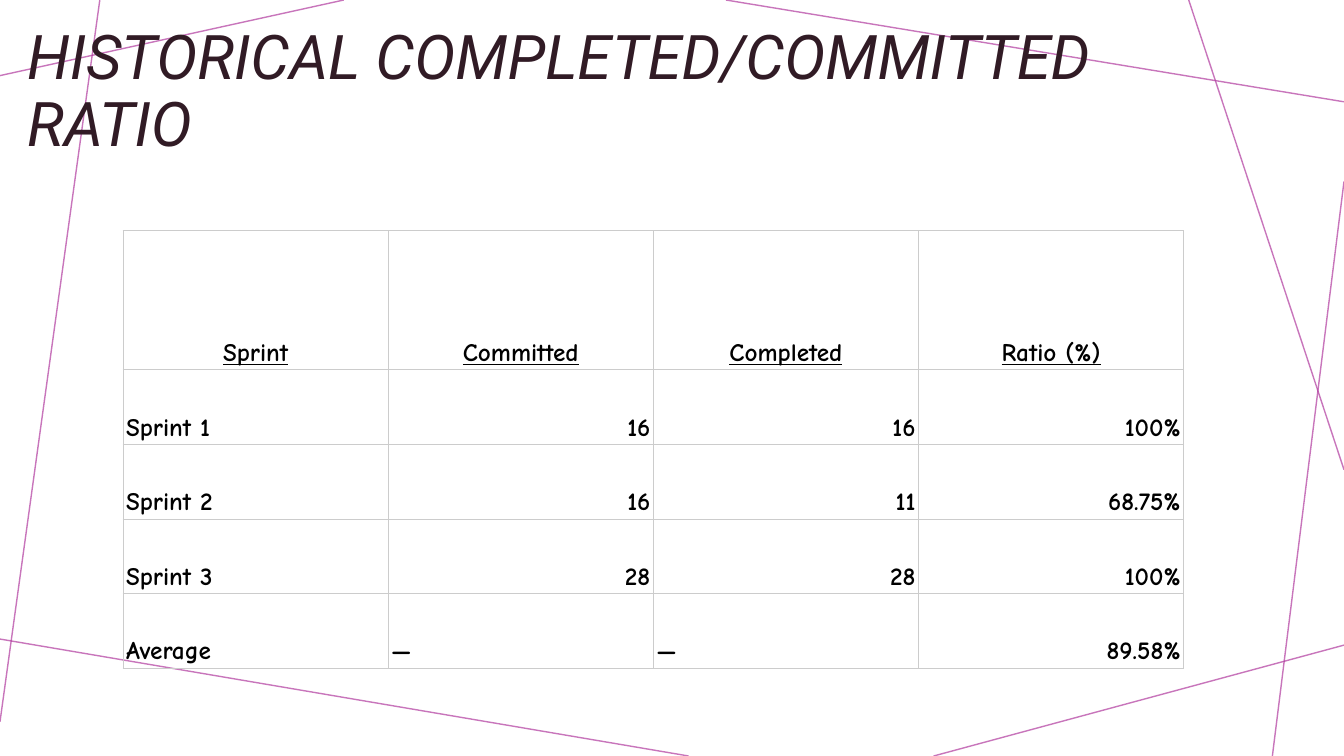
"""Build the slide with the completed/committed ratio of each sprint."""
from lxml.etree import SubElement
from pptx import Presentation
from pptx.dml.color import RGBColor
from pptx.enum.shapes import MSO_CONNECTOR
from pptx.enum.text import MSO_ANCHOR, MSO_AUTO_SIZE, PP_ALIGN
from pptx.oxml.ns import qn
from pptx.util import Inches, Pt

TITLE = "HISTORICAL COMPLETED/COMMITTED RATIO"
ROWS = [
    ("Sprint", "Committed", "Completed", "Ratio (%)"),
    ("Sprint 1", "16", "16", "100%"),
    ("Sprint 2", "16", "11", "68.75%"),
    ("Sprint 3", "28", "28", "100%"),
    ("Average", "—", "—", "89.58%"),
]
LINES = [
    (3.41, 0, 0, 0.75),
    (0.99, 0, 0, 7.16),
    (6.83, 7.5, 0, 6.34),
    (13.33, 6.4, 9.26, 7.5),
    (13.33, 1.8, 12.62, 7.5),
    (13.33, 4.66, 11.79, 0),
    (13.33, 1.01, 7.2, 0),
]
COLORS = {"line": "B13B9F", "title": "311B25", "text": "000000", "grid": "CCCCCC"}
LEFT, TOP, COL, HEAD, ROW = 1.22, 2.29, 2.63, 1.38, 0.74


def write(frame, text, font, size, color, align=PP_ALIGN.LEFT, bold=False,
          italic=False, under=False, space=1.0):
    para = frame.paragraphs[0]
    para.alignment = align
    para.line_spacing = space
    run = para.add_run()
    run.text = text
    face = run.font
    face.name, face.size = font, Pt(size)
    face.bold, face.italic, face.underline = bold, italic, under
    face.color.rgb = RGBColor.from_string(COLORS[color])


def draw_line(slide, ends):
    line = slide.shapes.add_connector(MSO_CONNECTOR.STRAIGHT, *map(Inches, ends))
    line.line.width = Pt(1)
    line.line.color.rgb = RGBColor.from_string(COLORS["line"])
    props = line._element.spPr
    SubElement(next(props.iter(qn("a:srgbClr"))), qn("a:alpha"), val="70000")
    SubElement(props, qn("a:effectLst"))


def set_grid(cell):
    props = cell._tc.get_or_add_tcPr()
    for side in ("lnL", "lnR", "lnT", "lnB"):
        edge = SubElement(props, qn(f"a:{side}"), w=str(Pt(0.75)))
        fill = SubElement(edge, qn("a:solidFill"))
        SubElement(fill, qn("a:srgbClr"), val=COLORS["grid"])
    cell.fill.background()


def pick_align(row, text):
    if row == 0:
        return PP_ALIGN.CENTER
    return PP_ALIGN.RIGHT if text[0].isdigit() else PP_ALIGN.LEFT


def add_ratios(slide):
    count, cols = len(ROWS), len(ROWS[0])
    high = HEAD + ROW * (count - 1)
    table = slide.shapes.add_table(
        count, cols, Inches(LEFT), Inches(TOP), Inches(COL * cols), Inches(high)).table
    table.first_row = table.horz_banding = False
    for col in table.columns:
        col.width = Inches(COL)
    for r, texts in enumerate(ROWS):
        table.rows[r].height = Inches(ROW if r else HEAD)
        for c, text in enumerate(texts):
            cell = table.cell(r, c)
            cell.margin_left = cell.margin_right = Inches(0.03)
            cell.margin_top = cell.margin_bottom = Inches(0.02)
            cell.vertical_anchor = MSO_ANCHOR.BOTTOM
            write(cell.text_frame, text, "Comic Neue", 18, "text",
                  align=pick_align(r, text), bold=True, under=r == 0)
            set_grid(cell)


def main():
    deck = Presentation()
    deck.slide_width, deck.slide_height = Inches(13.33), Inches(7.5)
    slide = deck.slides.add_slide(deck.slide_layouts[5])
    for ends in LINES:
        draw_line(slide, ends)
    title = slide.shapes.title
    slide.shapes._spTree.append(title._element)
    title.left, title.top = Inches(0.17), Inches(0.3)
    title.width, title.height = Inches(12.51), Inches(1.25)
    frame = title.text_frame
    frame.word_wrap = True
    frame.auto_size = MSO_AUTO_SIZE.NONE
    frame.vertical_anchor = MSO_ANCHOR.MIDDLE
    write(frame, TITLE, "Roboto", 44, "title", italic=True, space=0.9)
    add_ratios(slide)
    deck.save("out.pptx")


if __name__ == "__main__":
    main()
